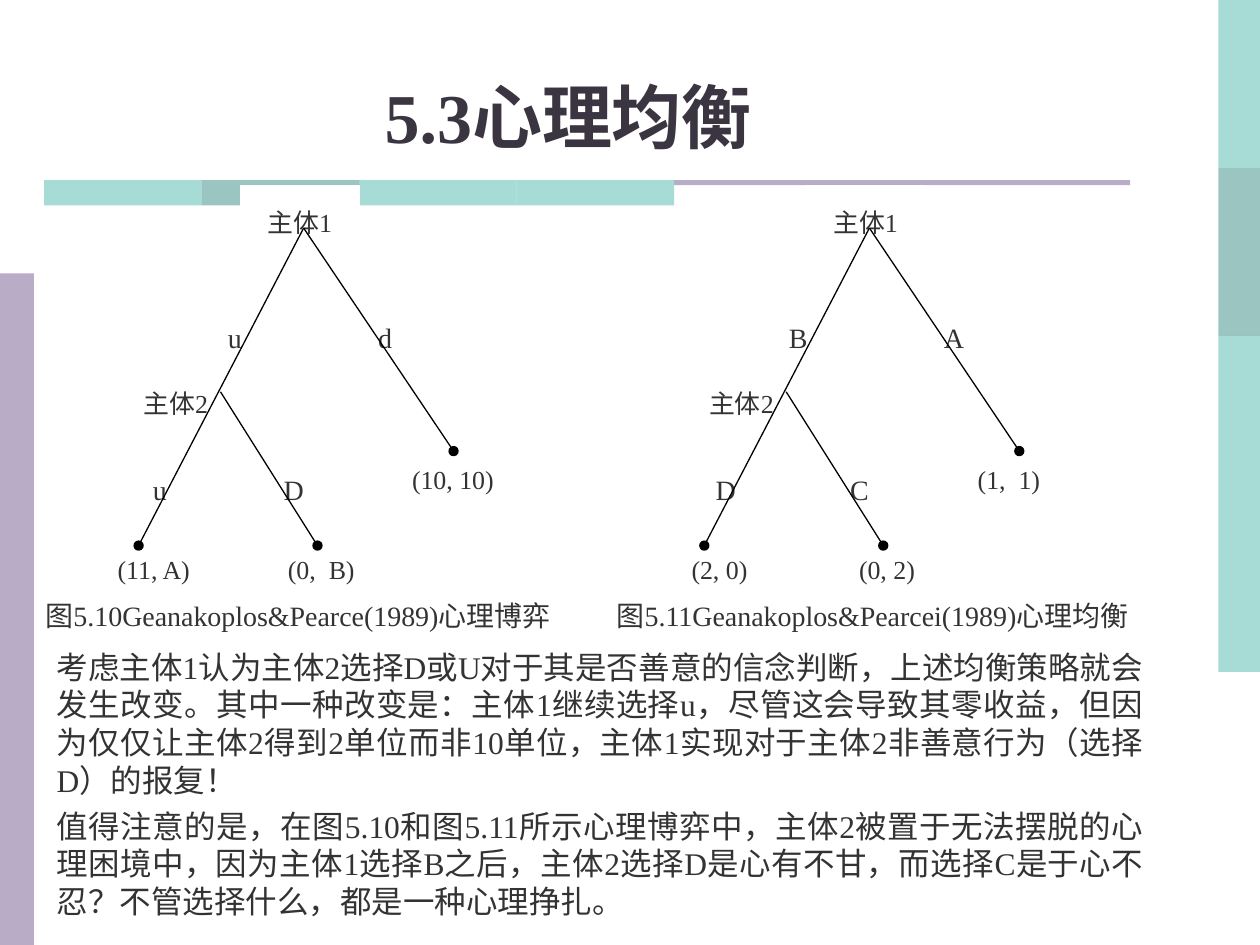
import pptx
import pptx.util
import pptx.dml.color
import pptx.enum.shapes
import pptx.enum.text
import pptx.oxml.ns
from lxml import etree

Inches = pptx.util.Inches
Pt = pptx.util.Pt
RGBColor = pptx.dml.color.RGBColor
ALIGN = pptx.enum.text.PP_ALIGN
ANCHOR = pptx.enum.text.MSO_ANCHOR
qn = pptx.oxml.ns.qn

TEAL = RGBColor(0x51, 0xB9, 0xAF)
DARK_TEAL = RGBColor(0x39, 0x8D, 0x85)
LILAC = RGBColor(0xB8, 0xAC, 0xC6)
INK = RGBColor(0x33, 0x33, 0x33)
TITLE_INK = RGBColor(0x3A, 0x35, 0x41)
WHITE = RGBColor(0xFF, 0xFF, 0xFF)
BLACK = RGBColor(0, 0, 0)
SERIF = "Times New Roman"

LABEL_SLOTS = [
    (0.12, 2.04, 0.70, 0.53, ALIGN.CENTER, 1.9, 16),
    (1.14, 2.04, 0.78, 0.53, ALIGN.CENTER, 1.9, 16),
    (1.43, 2.75, 0.64, 0.41, ALIGN.CENTER, 1.7, 14.8),
    (2.20, 0.86, 0.85, 0.46, ALIGN.JUSTIFY, 1.8, 16),
    (2.47, 2.04, 0.71, 0.42, ALIGN.JUSTIFY, 1.7, 14.8),
    (0.00, 1.43, 0.85, 0.42, ALIGN.RIGHT, 1.7, 14.8),
    (0.11, 2.75, 0.62, 0.40, ALIGN.CENTER, 1.7, 14.8),
    (0.19, 0.86, 0.93, 0.46, ALIGN.RIGHT, 1.8, 16),
    (1.11, 0.00, 0.94, 0.42, ALIGN.CENTER, 1.7, 14.8),
]
EDGES = [
    (1.61, 0.34, 0.30, 2.86),
    (1.61, 0.34, 2.80, 2.11),
    (0.95, 1.64, 1.72, 2.86),
]
GAME_LABELS = ["u", "D", "(0,  B)", "d", "(10, 10)", "主体2", "(11, A)", "u", "主体1"]
EQUILIBRIUM_LABELS = ["D", "C", "(0, 2)", "A", "(1,  1)", "主体2", "(2, 0)", "B", "主体1"]

BODY = [
    [("考虑主体1认为主体2选择D或U对于其是否善意的信念判断，上述均衡策略就会发生改变。"
      "其中一种改变是：主体1继续选择u，尽管这会导致其零收益，但因为仅仅让主体2得到2单位"
      "而非10单位，主体1实现对于主体2非善意行为（选择D）的报复！", SERIF)],
    [("值得注意的是，", "DejaVu Sans"),
     ("在图5.10和图5.11所示心理博弈中，主体2被置于无法摆脱的心理困境中，因为主体1选择B之后，"
      "主体2选择D是心有不甘，而选择C是于心不忍？不管选择什么，都是一种心理挣扎。", SERIF)],
]


def style(r, size, color=INK, name=SERIF, bold=False):
    """Set the font of a run."""
    r.font.name, r.font.size, r.font.bold = name, Pt(size), bold
    r.font.color.rgb = color


def add_bar(s, x, y, w, h, color, alpha=None):
    """Add a plain rectangle, optionally see-through."""
    sp = s.shapes.add_shape(pptx.enum.shapes.MSO_SHAPE.RECTANGLE,
                            Inches(x), Inches(y), Inches(w), Inches(h))
    sp.shadow.inherit = False
    sp.fill.solid()
    sp.fill.fore_color.rgb = color
    sp.line.fill.background()
    if alpha:
        clr = sp.fill._xPr.find(".//" + qn("a:srgbClr"))
        etree.SubElement(clr, qn("a:alpha"), val=str(alpha * 1000))
    return sp


def add_decoration(s):
    """Add the bars at the edges and under the title."""
    for i, color in enumerate([TEAL, DARK_TEAL, TEAL, TEAL]):
        add_bar(s, 9.67, i * 4 / 3, 0.33, 4 / 3, color, 50)
        add_bar(s, 0.35 + i * 1.25, 1.43, 1.25, 0.2, color, 50)
    add_bar(s, 0, 2.17, 0.27, 5.33, LILAC)
    add_bar(s, 5.35, 1.43, 3.62, 0.04, LILAC)


def add_text(s, x, y, w, h, paragraphs, size, align, anchor, color=INK, bold=False):
    """Add a wrapped text box of paragraphs made of (text, font) runs."""
    tf = s.shapes.add_textbox(Inches(x), Inches(y), Inches(w), Inches(h)).text_frame
    tf.word_wrap = True
    tf.vertical_anchor = anchor
    for i, runs in enumerate(paragraphs):
        p = tf.add_paragraph() if i else tf.paragraphs[0]
        p.alignment = align
        if i:
            p.space_before = Pt(4.5)
        for text, name in runs:
            r = p.add_run()
            r.text = text
            style(r, size, color, name, bold)


def add_label(s, x, y, w, h, text, align, spacing, size):
    """Add a white label of the game tree."""
    sp = add_bar(s, x, y, w, h, WHITE)
    sp.line.color.rgb = WHITE
    sp.line.width = Pt(0.75)
    tf = sp.text_frame
    tf.word_wrap = True
    tf.vertical_anchor = ANCHOR.TOP
    tf.margin_left = tf.margin_right = tf.margin_top = tf.margin_bottom = 0
    tf.text = text
    p = tf.paragraphs[0]
    p.alignment, p.line_spacing = align, spacing
    style(p.runs[0], size)


def add_edge(s, x1, y1, x2, y2):
    """Add a branch that ends in a dot."""
    c = s.shapes.add_connector(pptx.enum.shapes.MSO_CONNECTOR.STRAIGHT,
                               Inches(x1), Inches(y1), Inches(x2), Inches(y2))
    c.line.color.rgb = BLACK
    c.line.width = Pt(0.75)
    etree.SubElement(c.line._get_or_add_ln(), qn("a:tailEnd"), type="oval")
    etree.SubElement(c._element.spPr, qn("a:effectLst"))


def add_tree(s, x, y, labels):
    """Add a game tree with its top left corner at x, y."""
    for text, (dx, dy, w, h, *look) in zip(labels, LABEL_SLOTS):
        add_label(s, x + dx, y + dy, w, h, text, *look)
    for x1, y1, x2, y2 in EDGES:
        add_edge(s, x + x1, y + y1, x + x2, y + y2)


def add_caption(s, x, y, h, text):
    """Add the caption of a game tree."""
    add_text(s, x, y, 4.33, h, [[(text, SERIF)]], 16, ALIGN.CENTER, ANCHOR.MIDDLE)


def main():
    """Build the slide and save it."""
    prs = pptx.Presentation()
    prs.slide_width, prs.slide_height = Inches(10), Inches(7.5)
    s = prs.slides.add_slide(prs.slide_layouts[6])
    add_decoration(s)
    add_caption(s, 0.2, 4.7, 0.37, "图5.10Geanakoplos&Pearce(1989)心理博弈")
    add_tree(s, 0.8, 1.47, GAME_LABELS)
    add_text(s, 0.35, 5.09, 8.82, 2.27, BODY, 18, ALIGN.JUSTIFY, ANCHOR.TOP)
    add_text(s, 0, 0.44, 9.02, 0.86, [[("5.3心理均衡", SERIF)]], 40,
             ALIGN.CENTER, ANCHOR.BOTTOM, TITLE_INK, True)
    add_tree(s, 5.29, 1.47, EQUILIBRIUM_LABELS)
    add_caption(s, 4.76, 4.56, 0.64, "图5.11Geanakoplos&Pearcei(1989)心理均衡")
    prs.save("out.pptx")


if __name__ == "__main__":
    main()
